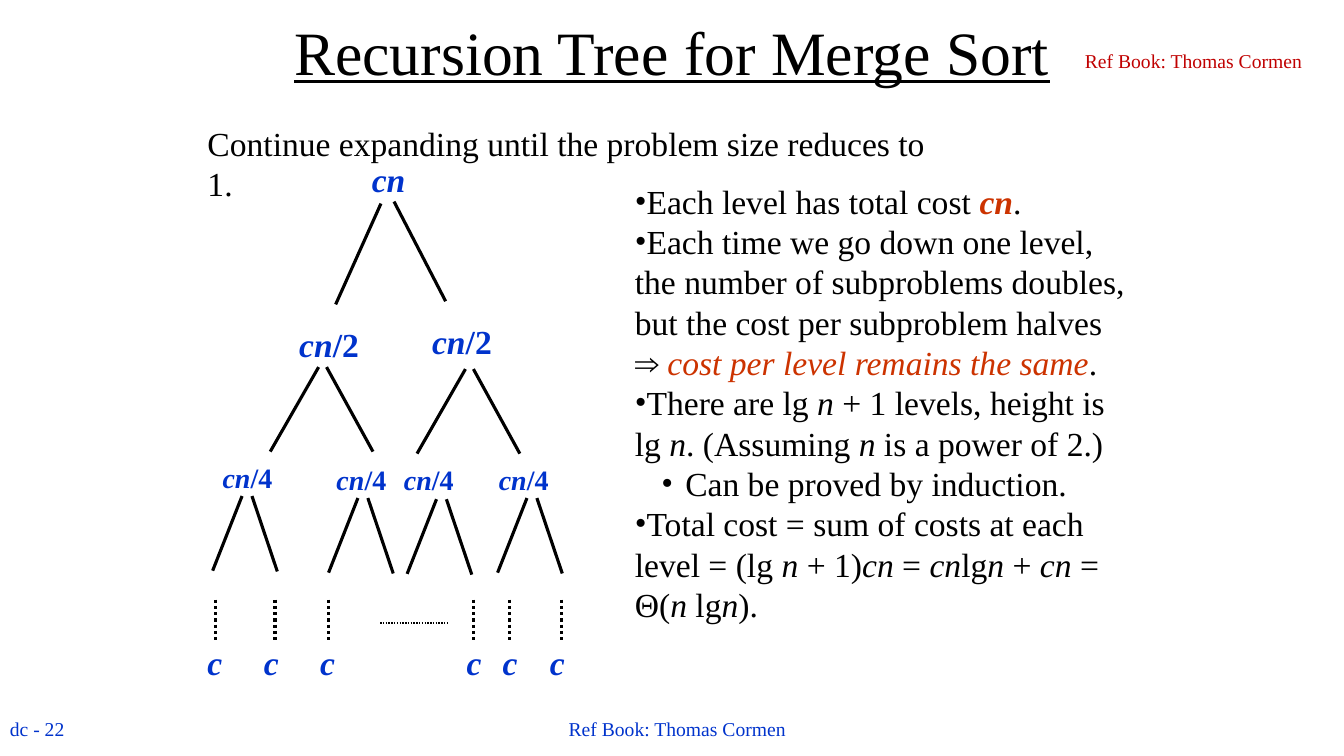
from lxml import etree
from pptx import Presentation
from pptx.dml.color import RGBColor
from pptx.enum.dml import MSO_LINE_DASH_STYLE as Dash
from pptx.enum.shapes import MSO_CONNECTOR as Connector
from pptx.enum.text import MSO_ANCHOR as Anchor, PP_ALIGN as Align
from pptx.oxml.ns import qn
from pptx.util import Cm, Pt

BLACK = RGBColor(0x00, 0x00, 0x00)
BLUE = RGBColor(0x00, 0x33, 0xCC)
ORANGE = RGBColor(0xCC, 0x33, 0x00)
RED = RGBColor(0xC0, 0x00, 0x00)
FONT = "Times New Roman"
REFERENCE = "Ref Book: Thomas Cormen"

PLAIN = {}
ITALIC = {"italic": True}
ACCENT = {"italic": True, "color": ORANGE}
STRONG = {"italic": True, "bold": True, "color": ORANGE}

TREE_LEVELS = [
    {"divisor": "", "size": 24, "width": 1.4, "height": 1.27,
     "left_branch": (-1.14, 2.54), "right_start": (0.33, -0.05),
     "right_branch": (1.3, 2.51),
     "nodes": [(9.12, 3.89, 9.6, 5.13)]},
    {"divisor": "/2", "size": 24, "width": 2.2, "height": 1.27,
     "left_branch": (-1.22, 2.13), "right_start": (0.2, 0),
     "right_branch": (1.17, 2.13),
     "nodes": [(7.29, 8.03, 8.03, 9.25), (10.64, 7.95, 11.73, 9.3)]},
    {"divisor": "/4", "size": 20, "width": 2.0, "height": 1.09,
     "left_branch": (-0.74, 1.88), "right_start": (0.25, 0),
     "right_branch": (0.64, 1.9),
     "nodes": [(5.36, 11.48, 6.1, 12.5), (8.23, 11.53, 9.02, 12.55),
               (9.93, 11.53, 11.0, 12.58), (12.32, 11.53, 13.28, 12.55)]},
]

LEAVES = [(4.98, 5.44), (6.4, 6.93), (7.82, 8.28),
          (11.51, 11.94), (12.42, 12.85), (13.61, 14.15)]

NOTES = [
    (0, [("Each level has total cost ", PLAIN), ("cn", STRONG), (".", PLAIN)]),
    (0, [("Each time we go down one level, the number of subproblems doubles, "
          "but the cost per subproblem halves ⇒ ", PLAIN),
         ("cost per level remains the same", ACCENT), (".", PLAIN)]),
    (0, [("There are lg ", PLAIN), ("n", ITALIC),
         (" + 1 levels, height is lg ", PLAIN), ("n", ITALIC),
         (". (Assuming ", PLAIN), ("n", ITALIC),
         (" is a power of 2.)", PLAIN)]),
    (1, [("Can be proved by induction.", PLAIN)]),
    (0, [("Total cost = sum of costs at each level = (lg ", PLAIN),
         ("n", ITALIC), (" + 1)", PLAIN), ("cn", ITALIC), (" = ", PLAIN),
         ("cn", ITALIC), ("lg", PLAIN), ("n", ITALIC), (" + ", PLAIN),
         ("cn", ITALIC), (" = Θ(", PLAIN), ("n ", ITALIC), ("lg", PLAIN),
         ("n", ITALIC), (").", PLAIN)]),
]


def add_run(paragraph, text, size, color=BLACK, bold=False, italic=False,
            underline=False):
    run = paragraph.add_run()
    run.text = text
    font = run.font
    font.name = FONT
    font.size = Pt(size)
    font.color.rgb = color
    font.bold = bold
    font.italic = italic
    font.underline = underline


def add_box(slide, left, top, width, height, wrap=False, anchor=Anchor.TOP):
    shape = slide.shapes.add_textbox(Cm(left), Cm(top), Cm(width), Cm(height))
    frame = shape.text_frame
    frame.word_wrap = wrap
    frame.vertical_anchor = anchor
    return frame


def add_label(slide, box, text, size, color=BLACK, align=Align.LEFT,
              wrap=False, anchor=Anchor.MIDDLE, **style):
    paragraph = add_box(slide, *box, wrap=wrap, anchor=anchor).paragraphs[0]
    paragraph.alignment = align
    add_run(paragraph, text, size, color, **style)
    return paragraph


def add_line(slide, start, end, width=2.25, dash=None):
    line = slide.shapes.add_connector(
        Connector.STRAIGHT, *(Cm(value) for value in (*start, *end)))
    line.line.color.rgb = BLACK
    line.line.width = Pt(width)
    if dash:
        line.line.dash_style = dash
    etree.SubElement(line.element.spPr, qn("a:effectLst"))


def add_branch(slide, start, offset):
    end = (start[0] + offset[0], start[1] + offset[1])
    add_line(slide, start, end)


def add_tree_level(slide, level):
    shift_x, shift_y = level["right_start"]
    for left, top, fork_x, fork_y in level["nodes"]:
        box = (left, top, level["width"], level["height"])
        paragraph = add_label(slide, box, "cn", level["size"], BLUE,
                              wrap=True, anchor=Anchor.TOP,
                              bold=True, italic=True)
        if level["divisor"]:
            add_run(paragraph, level["divisor"], level["size"], BLUE, bold=True)
        add_branch(slide, (fork_x, fork_y), level["left_branch"])
        add_branch(slide, (fork_x + shift_x, fork_y + shift_y),
                   level["right_branch"])


def add_leaves(slide):
    for left, dots_x in LEAVES:
        add_line(slide, (dots_x, 15.11), (dots_x, 16.2), dash=Dash.ROUND_DOT)
        add_label(slide, (left, 16.05, 0.89, 1.27), "c", 24, BLUE,
                  anchor=Anchor.TOP, bold=True, italic=True)
    add_line(slide, (9.58, 15.7), (11.3, 15.7), 1, Dash.ROUND_DOT)


def set_bullet(paragraph, level):
    properties = paragraph._p.get_or_add_pPr()
    properties.set("marL", str(Cm(1.27 * level)))
    properties.set("indent", str(Cm(-0.6 * level)))
    etree.SubElement(properties, qn("a:buFont"), typeface=FONT)
    etree.SubElement(properties, qn("a:buChar"), char="•")


def add_notes(slide):
    frame = add_box(slide, 15.75, 4.43, 12.85, 12.57, wrap=True)
    for index, (level, runs) in enumerate(NOTES):
        paragraph = frame.add_paragraph() if index else frame.paragraphs[0]
        paragraph.level = level
        set_bullet(paragraph, level)
        for text, style in runs:
            add_run(paragraph, text, 24, **style)


def main():
    presentation = Presentation()
    presentation.slide_width = Cm(33.87)
    presentation.slide_height = Cm(19.05)
    slide = presentation.slides.add_slide(presentation.slide_layouts[6])
    add_label(slide, (0, 17.93, 1.98, 0.86), "dc - 22", 14, BLUE,
              anchor=Anchor.TOP)
    add_label(slide, (13.54, 17.73, 7.06, 1.27), REFERENCE, 14, BLUE,
              Align.CENTER)
    add_label(slide, (0, 0, 33.87, 2.54), "Recursion Tree for Merge Sort", 44,
              align=Align.CENTER, wrap=True, underline=True)
    add_label(slide, (4.98, 2.97, 18.8, 2.2),
              "Continue expanding until the problem size reduces to 1.", 24,
              wrap=True, anchor=Anchor.TOP)
    for level in TREE_LEVELS:
        add_tree_level(slide, level)
    add_leaves(slide)
    add_notes(slide)
    add_label(slide, (26.9, 0.84, 6.17, 1.37), REFERENCE, 14, RED, Align.RIGHT)
    presentation.save("out.pptx")


if __name__ == "__main__":
    main()
